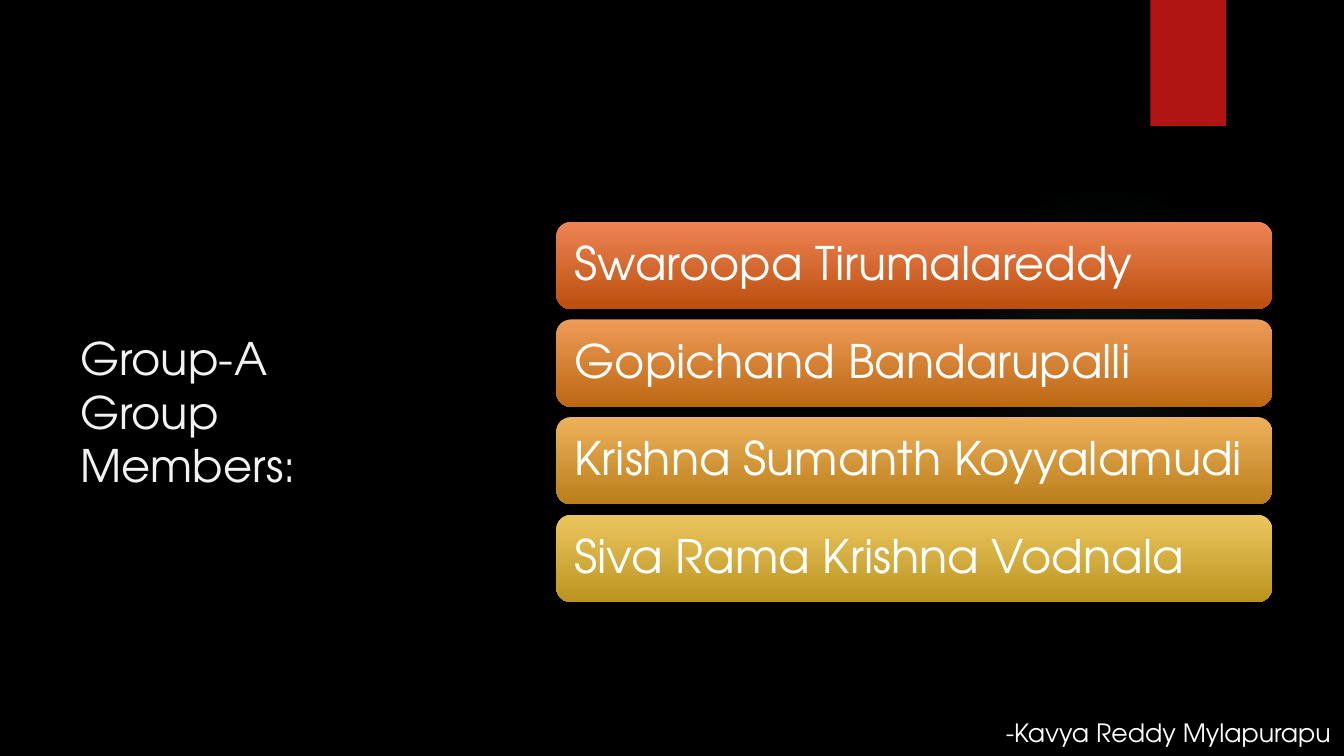
from dataclasses import dataclass

import pptx
import pptx.dml.color
import pptx.enum.shapes
import pptx.enum.text
import pptx.oxml
import pptx.oxml.ns
import pptx.presentation
import pptx.shapes.autoshape
import pptx.slide
import pptx.text.text
import pptx.util

FONT = "TeX Gyre Adventor"
GLOW = "50B9C1"
GLOW_STOPS = ((0, 7), (36, 6), (69, 0))
CARD_LEFT, CARD_TOP = 397.44, 158.4
CARD_WIDTH, CARD_HEIGHT, CARD_PITCH = 511.2, 62.4, 69.75
SHAPES = pptx.enum.shapes.MSO_SHAPE


@dataclass(frozen=True)
class Member:
    name: str
    top_color: str
    bottom_color: str


MEMBERS = (
    Member("Swaroopa Tirumalareddy", "EE8455", "BC4F0E"),
    Member("Gopichand Bandarupalli", "EE9B57", "BC6813"),
    Member("Krishna Sumanth Koyyalamudi", "EDB15B", "BA7E1A"),
    Member("Siva Rama Krishna Vodnala", "EBC65F", "BB941F"),
)


def color(value: str) -> pptx.dml.color.RGBColor:
    return pptx.dml.color.RGBColor.from_string(value)


def write(frame: pptx.text.text.TextFrame, text: str, size: float, text_color: str) -> None:
    frame.text = text
    for paragraph in frame.paragraphs:
        paragraph.alignment = pptx.enum.text.PP_ALIGN.LEFT
        for run in paragraph.runs:
            run.font.name = FONT
            run.font.size = pptx.util.Pt(size)
            run.font.color.rgb = color(text_color)


def add_plain_shape(
    slide: pptx.slide.Slide,
    kind: pptx.enum.shapes.MSO_SHAPE,
    left: float, top: float, width: float, height: float,
) -> pptx.shapes.autoshape.Shape:
    shape = slide.shapes.add_shape(
        kind, *(pptx.util.Pt(length) for length in (left, top, width, height))
    )
    shape.shadow.inherit = False
    shape.line.fill.background()
    return shape


def add_text_box(
    slide: pptx.slide.Slide,
    left: float, top: float, width: float, height: float,
    text: str, size: float, text_color: str,
) -> pptx.text.text.TextFrame:
    box = slide.shapes.add_textbox(
        *(pptx.util.Pt(length) for length in (left, top, width, height))
    )
    write(box.text_frame, text, size, text_color)
    return box.text_frame


def add_glow(slide: pptx.slide.Slide) -> None:
    glow = add_plain_shape(slide, SHAPES.OVAL, 677.5, 131.75, 221.75, 221.75)
    glow.fill.background()
    stops = "".join(
        f'<a:gs pos="{position * 1000}"><a:srgbClr val="{GLOW}">'
        f'<a:alpha val="{opacity * 1000}"/></a:srgbClr></a:gs>'
        for position, opacity in GLOW_STOPS
    )
    gradient = pptx.oxml.parse_xml(
        f'<a:gradFill {pptx.oxml.ns.nsdecls("a")} rotWithShape="1">'
        f'<a:gsLst>{stops}</a:gsLst><a:path path="circle">'
        '<a:fillToRect l="50000" t="50000" r="50000" b="50000"/></a:path></a:gradFill>'
    )
    properties = glow.element.spPr
    properties.replace(properties.find(pptx.oxml.ns.qn("a:noFill")), gradient)


def add_member(slide: pptx.slide.Slide, member: Member, index: int) -> None:
    card = add_plain_shape(
        slide, SHAPES.ROUNDED_RECTANGLE,
        CARD_LEFT, CARD_TOP + index * CARD_PITCH, CARD_WIDTH, CARD_HEIGHT,
    )
    card.fill.gradient()
    card.fill.gradient_angle = 270
    for stop, value in zip(card.fill.gradient_stops, (member.top_color, member.bottom_color)):
        stop.color.rgb = color(value)
    frame = card.text_frame
    write(frame, member.name, 33, "FFFFFF")
    frame.word_wrap = True
    frame.vertical_anchor = pptx.enum.text.MSO_ANCHOR.MIDDLE
    frame.margin_left = frame.margin_right = pptx.util.Pt(10)
    frame.margin_top = frame.margin_bottom = pptx.util.Pt(10)
    frame.paragraphs[0].line_spacing = 0.9


def build() -> pptx.presentation.Presentation:
    presentation = pptx.Presentation()
    presentation.slide_width = pptx.util.Pt(960)
    presentation.slide_height = pptx.util.Pt(540)
    slide = presentation.slides.add_slide(presentation.slide_layouts[6])
    slide.background.fill.solid()
    slide.background.fill.fore_color.rgb = color("000000")

    add_glow(slide)
    ribbon = add_plain_shape(slide, SHAPES.RECTANGLE, 821.75, 0, 54, 90)
    ribbon.fill.solid()
    ribbon.fill.fore_color.rgb = color("B01513")

    title = add_text_box(
        slide, 50.4, 113.75, 244.8, 360, "Group-A\vGroup Members:", 32, "F2F2F2"
    )
    title.word_wrap = True
    title.vertical_anchor = pptx.enum.text.MSO_ANCHOR.MIDDLE

    for index, member in enumerate(MEMBERS):
        add_member(slide, member, index)

    author = add_text_box(
        slide, 711.35, 509, 250.55, 29, "-Kavya Reddy Mylapurapu", 18, "FFFFFF"
    )
    author.word_wrap = False
    author.auto_size = pptx.enum.text.MSO_AUTO_SIZE.SHAPE_TO_FIT_TEXT
    return presentation


if __name__ == "__main__":
    build().save("out.pptx")
